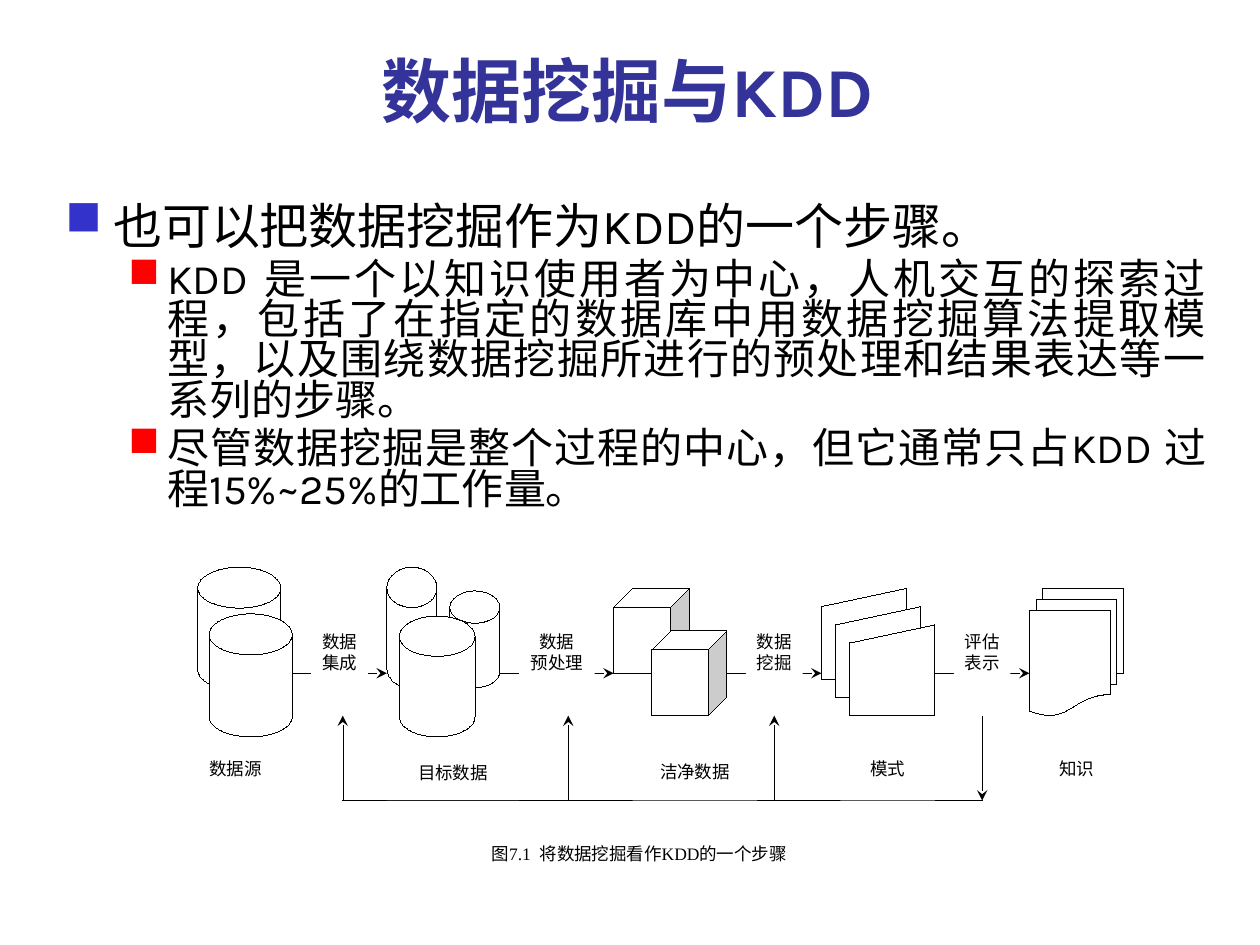
from lxml.etree import SubElement
from pptx import Presentation
from pptx.dml.color import RGBColor
from pptx.enum.shapes import MSO_CONNECTOR, MSO_SHAPE as Shape
from pptx.enum.text import MSO_ANCHOR as Anchor, PP_ALIGN as Align
from pptx.oxml.ns import qn
from pptx.util import Inches, Pt

BLACK = RGBColor(0x00, 0x00, 0x00)
WHITE = RGBColor(0xFF, 0xFF, 0xFF)
NAVY = RGBColor(0x33, 0x33, 0x99)
BLUE = RGBColor(0x33, 0x33, 0xCC)
RED = RGBColor(0xFF, 0x00, 0x00)

GRID_LEFT, GRID_TOP = 1.42, 4.67
COLUMN, ROW = 0.15, 1.01 / 3

BODY = [
    ("也可以把数据挖掘作为KDD的一个步骤。", 28, 0.38, -0.38, BLUE, Align.LEFT),
    ("KDD 是一个以知识使用者为中心，人机交互的探索过程，包括了在指定的数据库中"
     "用数据挖掘算法提取模型，以及围绕数据挖掘所进行的预处理和结果表达等一系列的步骤。",
     24, 0.81, -0.31, RED, Align.JUSTIFY),
    ("尽管数据挖掘是整个过程的中心，但它通常只占KDD 过程15%~25%的工作量。 ",
     24, 0.81, -0.31, RED, Align.JUSTIFY),
]

DISK, SHEET = Shape.FLOWCHART_MAGNETIC_DISK, Shape.FLOWCHART_MANUAL_INPUT
STAGE_SHAPES = [
    (DISK, 1, -0.5, 4.4, 2.9),
    (DISK, 1.6, 0.6, 4.4, 2.9),
    (DISK, 11, -0.5, 2.65, 2.85),
    (DISK, 14.33, 0.06, 2.65, 2.28),
    (DISK, 11.67, 0.65, 4, 2.85),
    (Shape.CUBE, 23, 0, 4, 2),
    (Shape.CUBE, 25, 1, 4, 2),
    *[(SHEET, 34 + 0.75 * i, 0.43 * i, 4.5, 2.14) for i in range(3)],
    (Shape.FLOWCHART_MULTIDOCUMENT, 45, 0, 5, 3),
]

STEPS = [
    (6, 11, "数据\n集成"),
    (17, 23, "数据\n预处理"),
    (29, 34, "数据\n挖掘"),
    (40, 45, "评估\n表示"),
]

CAPTIONS = [
    ("数据源", 0, 4, 6, 1),
    ("目标数据", 11, 4.1, 7, 0.89),
    ("洁净数据", 24, 4.06, 6.6, 0.94),
    ("模式", 35, 4, 5, 1),
    ("知识", 45, 4, 5, 1),
    ("图7.1  将数据挖掘看作KDD的一个步骤", 9.75, 6, 29.2, 0.92),
]


def x_at(column):
    return Inches(GRID_LEFT + COLUMN * column)


def y_at(row):
    return Inches(GRID_TOP + ROW * row)


def apply(target, values):
    for name, value in values.items():
        setattr(target, name, value)


def write(paragraph, text, size, font, color, **layout):
    apply(paragraph, layout)
    run = paragraph.add_run()
    run.text = text
    apply(run.font, {"size": Pt(size), "name": font})
    run.font.color.rgb = color
    return run


def add_text_frame(slide, left, top, width, height, anchor):
    box = slide.shapes.add_textbox(
        *[Inches(length) for length in (left, top, width, height)])
    apply(box.text_frame, {"word_wrap": True, "vertical_anchor": anchor})
    return box.text_frame


def set_bullet(paragraph, indent, hanging, color):
    properties = paragraph._p.get_or_add_pPr()
    properties.set("marL", str(Inches(indent)))
    properties.set("indent", str(Inches(hanging)))
    properties.set("hangingPunct", "0")
    bullet_color = SubElement(properties, qn("a:buClr"))
    SubElement(bullet_color, qn("a:srgbClr"), val=str(color))
    SubElement(properties, qn("a:buFont"), typeface="Wingdings",
               pitchFamily="2", charset="2")
    SubElement(properties, qn("a:buChar"), char="n")


def add_body(slide):
    frame = add_text_frame(slide, 0.42, 1.59, 9.25, 5.58, Anchor.TOP)
    for index, (text, size, indent, hanging, color, align) in enumerate(BODY):
        paragraph = frame.add_paragraph() if index else frame.paragraphs[0]
        write(paragraph, text, size, "Karla", BLACK, alignment=align,
              line_spacing=0.8, space_before=Pt(size * 0.2))
        set_bullet(paragraph, indent, hanging, color)


def remove_style(shape):
    element = shape._element
    element.remove(element.find(qn("p:style")))


def add_cell(slide, kind, column, row, columns, rows, outlined=True):
    shape = slide.shapes.add_shape(
        kind, x_at(column), y_at(row),
        Inches(COLUMN * columns), Inches(ROW * rows))
    remove_style(shape)
    shape.shadow.inherit = False
    shape.fill.solid()
    shape.fill.fore_color.rgb = WHITE
    if outlined:
        shape.line.color.rgb = BLACK
    else:
        shape.line.fill.background()
    return shape


def add_label(slide, text, column, row, columns, rows):
    shape = add_cell(slide, Shape.RECTANGLE, column, row, columns, rows, False)
    frame = shape.text_frame
    margins = ("margin_left", "margin_top", "margin_right", "margin_bottom")
    apply(frame, dict.fromkeys(margins, 0))
    apply(frame, {"word_wrap": True, "vertical_anchor": Anchor.TOP})
    for index, line in enumerate(text.split("\n")):
        paragraph = frame.add_paragraph() if index else frame.paragraphs[0]
        write(paragraph, line, 10, "Times New Roman", BLACK,
              alignment=Align.CENTER)
    return shape


def add_line(slide, start, end, arrow=True):
    line = slide.shapes.add_connector(
        MSO_CONNECTOR.STRAIGHT, x_at(start[0]), y_at(start[1]),
        x_at(end[0]), y_at(end[1]))
    remove_style(line)
    line.line.color.rgb = BLACK
    if arrow:
        SubElement(line.line._get_or_add_ln(), qn("a:tailEnd"), type="stealth")
    SubElement(line._element.spPr, qn("a:effectLst"))
    return line


def add_process(slide):
    for stage_shape in STAGE_SHAPES:
        add_cell(slide, *stage_shape)
    labels = []
    for start, end, text in STEPS:
        add_line(slide, (start, 2), (end, 2))
        labels.append(
            add_label(slide, text, start + 1, 1, end - start - 2, 2))
    return labels


def add_feedback(slide, labels):
    integration, preparation, mining, evaluation = 8.67, 20.6, 31.5, 42.5
    output = add_line(slide, (evaluation, 3), (evaluation, 5))
    output.begin_connect(labels[3], 2)
    add_line(slide, (evaluation, 5), (integration, 5), arrow=False)
    for column in (integration, preparation):
        add_line(slide, (column, 5), (column, 3))
    add_line(slide, (mining, 5), (mining, 3)).end_connect(labels[2], 2)


def main():
    presentation = Presentation()
    apply(presentation, {"slide_width": Inches(10),
                         "slide_height": Inches(7.5)})
    slide = presentation.slides.add_slide(presentation.slide_layouts[6])
    title = add_text_frame(slide, 0.83, 0.26, 8.44, 0.83, Anchor.BOTTOM)
    write(title.paragraphs[0], "数据挖掘与KDD ", 40, "Karla", NAVY,
          alignment=Align.CENTER).font.bold = True
    add_body(slide)
    add_feedback(slide, add_process(slide))
    for caption in CAPTIONS:
        add_label(slide, *caption)
    presentation.save("out.pptx")


if __name__ == "__main__":
    main()
